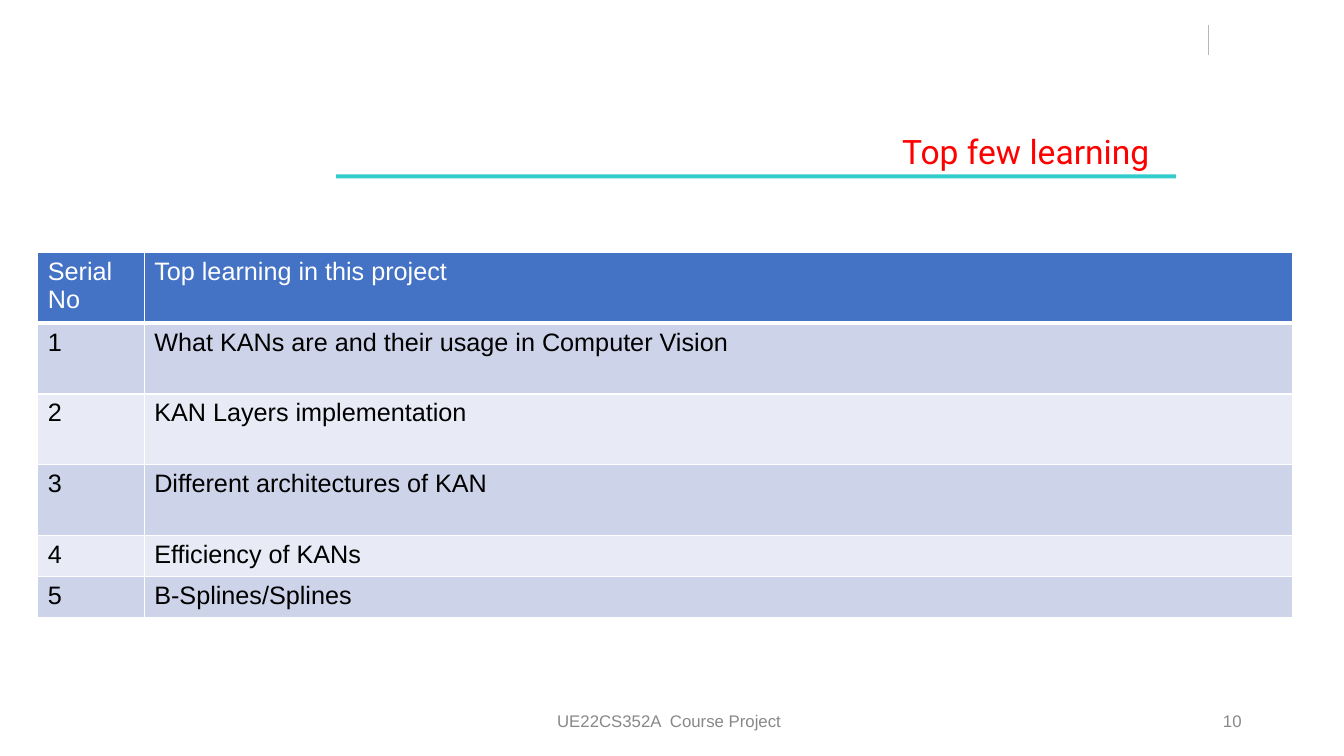
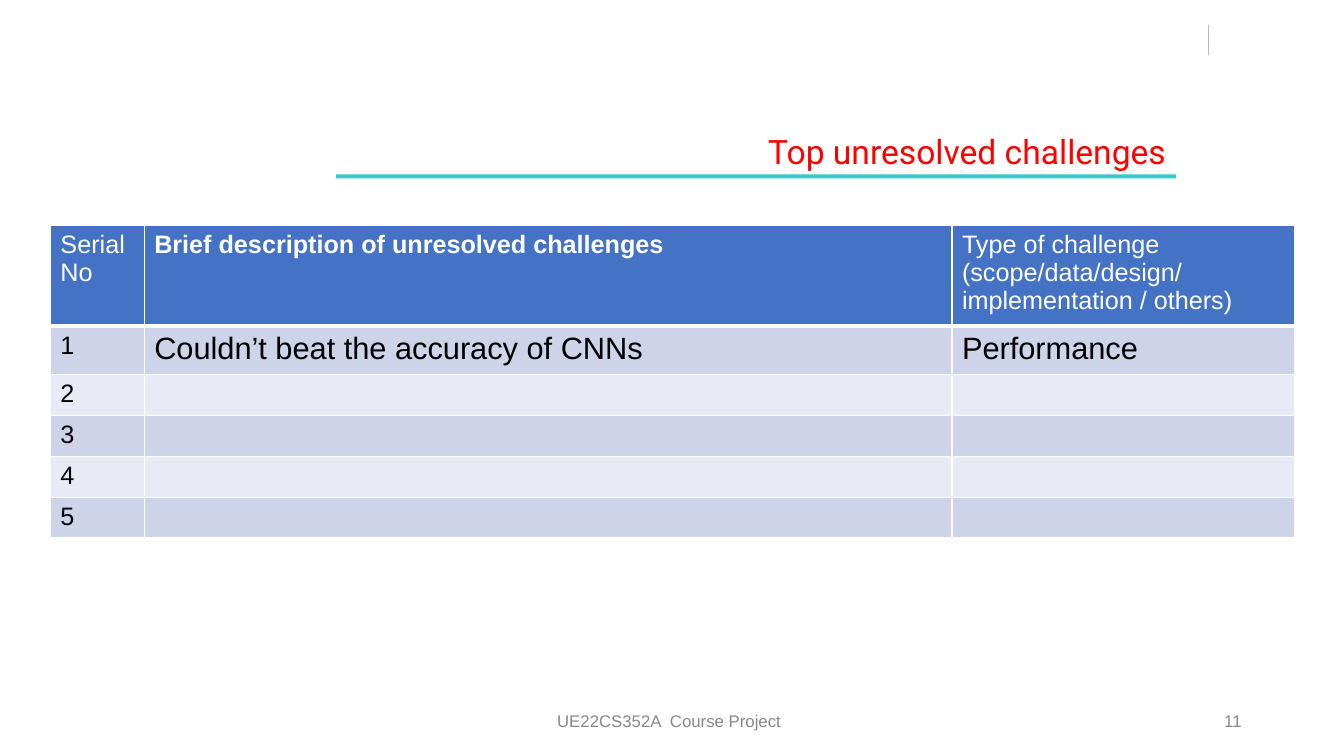
from dataclasses import dataclass

import lxml.etree
import pptx
import pptx.dml.color
import pptx.enum.shapes
import pptx.enum.text
import pptx.oxml.ns
import pptx.presentation
import pptx.slide
import pptx.table
import pptx.util

Pt = pptx.util.Pt
RGBColor = pptx.dml.color.RGBColor
Align = pptx.enum.text.PP_ALIGN
Anchor = pptx.enum.text.MSO_ANCHOR

WHITE = RGBColor(0xFF, 0xFF, 0xFF)
BLACK = RGBColor(0x00, 0x00, 0x00)
RED = RGBColor(0xFF, 0x00, 0x00)
TEAL = RGBColor(0x33, 0xCC, 0xCC)
HEADER_BLUE = RGBColor(0x44, 0x72, 0xC4)
ROW_BANDS = (RGBColor(0xCD, 0xD4, 0xEA), RGBColor(0xE8, 0xEB, 0xF5))
FOOTER_GRAY = RGBColor(0x88, 0x88, 0x88)
DIVIDER_GRAY = RGBColor(0xB7, 0xB7, 0xB7)

BODY_FONT = "Arial"
TITLE_FONT = "Roboto"
TITLE_ONLY = 5
COURSE = "UE22CS352A  Course Project"


@dataclass(frozen=True)
class Topic:
    """One slide: a heading, its page number and a numbered table."""
    title: str
    page: int
    left: float
    top: float
    widths: tuple[float, ...]
    heights: tuple[float, ...]
    rows: tuple[tuple[str, ...], ...]
    bold_columns: tuple[int, ...] = ()
    entry_size: float = 18
    title_inset: float = 7.2


TOPICS = (
    Topic(
        title="Top few learning",
        page=10,
        left=27,
        top=180.5,
        widths=(76, 820),
        heights=(49.5, 50.5, 50.5, 50.5, 29.2, 29.2),
        rows=(
            ("Serial\nNo", "Top learning in this project"),
            ("1", "What KANs are and their usage in Computer Vision"),
            ("2", "KAN Layers implementation"),
            ("3", "Different architectures of KAN"),
            ("4", "Efficiency of KANs"),
            ("5", "B-Splines/Splines"),
        ),
        title_inset=19,
    ),
    Topic(
        title="Top unresolved challenges",
        page=11,
        left=36,
        top=161,
        widths=(67, 577, 244.5),
        heights=(71, 34.5, 29.2, 29.2, 29.2, 29.2),
        rows=(
            ("Serial No", "Brief description of unresolved challenges",
             "Type of challenge\n(scope/data/design/implementation / others)"),
            ("1", "Couldn’t beat the accuracy of CNNs", "Performance"),
            ("2", "", ""),
            ("3", "", ""),
            ("4", "", ""),
            ("5", "", ""),
        ),
        bold_columns=(1,),
        entry_size=22,
    ),
)


def style_text(frame: pptx.text.text.TextFrame, size: float, color: RGBColor,
               font: str = BODY_FONT, bold: bool = False,
               align: Align = Align.LEFT) -> None:
    for paragraph in frame.paragraphs:
        paragraph.alignment = align
        for run in paragraph.runs:
            run.font.name = font
            run.font.size = Pt(size)
            run.font.bold = bold
            run.font.color.rgb = color


def add_footer(slide: pptx.slide.Slide, text: str, left: float, width: float,
               align: Align) -> None:
    frame = slide.shapes.add_textbox(Pt(left), Pt(500.4), Pt(width), Pt(28.8)).text_frame
    frame.word_wrap = True
    frame.vertical_anchor = Anchor.MIDDLE
    frame.text = text
    style_text(frame, 12, FOOTER_GRAY, align=align)


def add_frame(slide: pptx.slide.Slide, topic: Topic) -> None:
    """Draw everything the slides share around their table."""
    # Corner divider
    divider = slide.shapes.add_connector(
        pptx.enum.shapes.MSO_CONNECTOR.STRAIGHT, Pt(863.3), Pt(18), Pt(863.3), Pt(39.6))
    divider.line.color.rgb = DIVIDER_GRAY
    divider.line.width = Pt(0.75)
    lxml.etree.SubElement(divider._element.spPr, pptx.oxml.ns.qn("a:effectLst"))

    # Rule below the title
    rule = slide.shapes.add_shape(
        pptx.enum.shapes.MSO_SHAPE.RECTANGLE, Pt(240), Pt(124.5), Pt(600), Pt(3))
    rule.shadow.inherit = False
    rule.fill.solid()
    rule.fill.fore_color.rgb = TEAL
    rule.line.fill.background()

    # Title
    title = slide.shapes.title
    title.left, title.top, title.width, title.height = Pt(228), Pt(90), Pt(612), Pt(36)
    frame = title.text_frame
    frame.text = topic.title
    frame.word_wrap = True
    frame.auto_size = pptx.enum.text.MSO_AUTO_SIZE.NONE
    frame.vertical_anchor = Anchor.TOP
    frame.margin_right = Pt(topic.title_inset)
    style_text(frame, 24, RED, font=TITLE_FONT, align=Align.RIGHT)

    # Footer
    add_footer(slide, str(topic.page), 678, 216, Align.RIGHT)
    add_footer(slide, COURSE, 316, 324, Align.CENTER)


def set_borders(cell: pptx.table._Cell, top: float, bottom: float) -> None:
    qn = pptx.oxml.ns.qn
    properties = cell._tc.get_or_add_tcPr()
    for side, width in (("L", 1), ("R", 1), ("T", top), ("B", bottom)):
        border = lxml.etree.SubElement(properties, qn(f"a:ln{side}"), w=str(Pt(width)))
        fill = lxml.etree.SubElement(border, qn("a:solidFill"))
        lxml.etree.SubElement(fill, qn("a:srgbClr"), val=str(WHITE))


def add_topic_table(slide: pptx.slide.Slide, topic: Topic) -> None:
    table = slide.shapes.add_table(
        len(topic.rows), len(topic.widths), Pt(topic.left), Pt(topic.top),
        Pt(sum(topic.widths)), Pt(sum(topic.heights))).table
    for column, width in zip(table.columns, topic.widths):
        column.width = Pt(width)
    for row, height in zip(table.rows, topic.heights):
        row.height = Pt(height)

    for r, entries in enumerate(topic.rows):
        header = r == 0
        for c, entry in enumerate(entries):
            cell = table.cell(r, c)
            # A thicker line parts the header from the entries
            set_borders(cell, top=3 if r == 1 else 1, bottom=3 if header else 1)
            cell.fill.solid()
            cell.fill.fore_color.rgb = HEADER_BLUE if header else ROW_BANDS[(r - 1) % 2]
            cell.text_frame.text = entry
            style_text(cell.text_frame,
                       size=18 if header or c == 0 else topic.entry_size,
                       color=WHITE if header else BLACK,
                       bold=header and c in topic.bold_columns)


def add_topic_slide(deck: pptx.presentation.Presentation, topic: Topic) -> None:
    slide = deck.slides.add_slide(deck.slide_layouts[TITLE_ONLY])
    add_frame(slide, topic)
    add_topic_table(slide, topic)


def main() -> None:
    deck = pptx.Presentation()
    deck.slide_width, deck.slide_height = Pt(960), Pt(540)
    for topic in TOPICS:
        add_topic_slide(deck, topic)
    deck.save("out.pptx")


if __name__ == "__main__":
    main()
